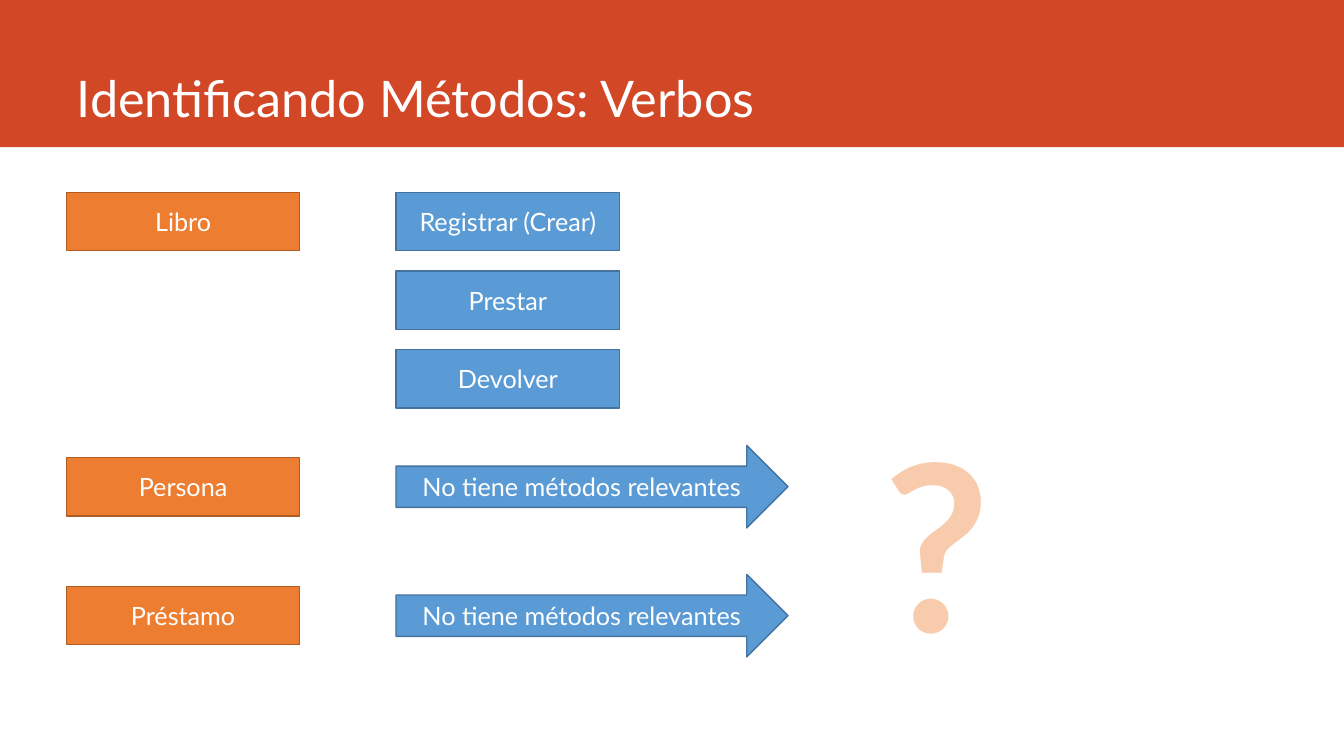
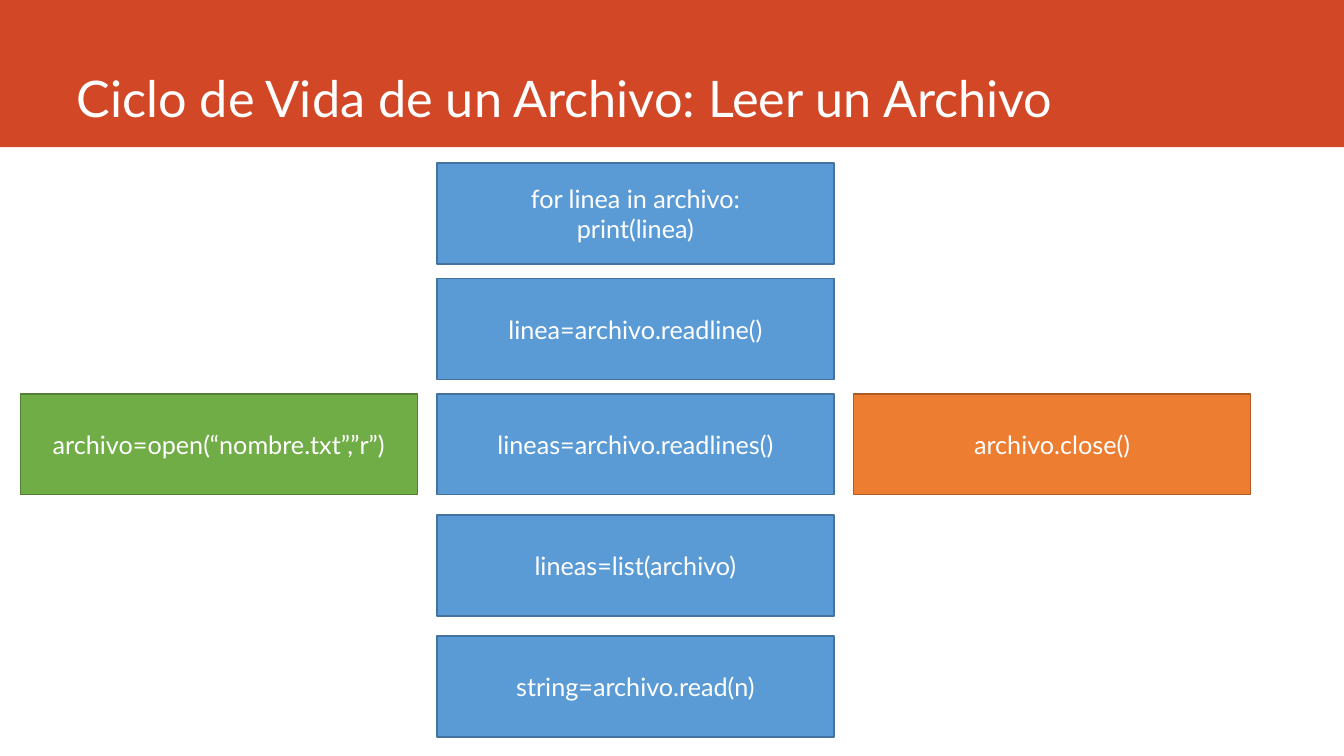
from lxml import etree
from pptx import Presentation
from pptx.dml.color import RGBColor
from pptx.enum.shapes import MSO_SHAPE as Shape
from pptx.enum.text import MSO_ANCHOR as Anchor, MSO_AUTO_SIZE as AutoSize, PP_ALIGN as Align
from pptx.oxml import parse_xml
from pptx.oxml.ns import nsdecls, qn
from pptx.util import Cm, Pt

# Shared style
FONT = "Lato"
WHITE = "FFFFFF"
BAND_COLOR = "D24726"
PEACH = "F8CBAD"
SLIDE_WIDTH, SLIDE_HEIGHT = 33.87, 19.05
BAND_HEIGHT = 3.71
# Each box style is a fill and a line colour
BLUE = ("5B9BD5", "43739E")
ORANGE = ("ED7D31", "AF5C24")
GREEN = ("70AD47", "538035")


def color(hex_value):
    return RGBColor.from_string(hex_value)


def format_font(font, size, hex_value=WHITE, bold=False):
    font.name = FONT
    font.size = Pt(size)
    font.bold = bold
    font.color.rgb = color(hex_value)


def add_block(slide, text, left, top, width, height, style, kind=Shape.RECTANGLE):
    """Add a filled shape with centred white text."""
    fill, line = style
    shape = slide.shapes.add_shape(kind, Cm(left), Cm(top), Cm(width), Cm(height))
    shape.shadow.inherit = False
    shape.fill.solid()
    shape.fill.fore_color.rgb = color(fill)
    shape.line.color.rgb = color(line)
    shape.line.width = Pt(1)
    frame = shape.text_frame
    frame.text = text
    frame.word_wrap = True
    frame.vertical_anchor = Anchor.MIDDLE
    for paragraph in frame.paragraphs:
        paragraph.alignment = Align.CENTER
        format_font(paragraph.font, 18)


def add_titled_slide(presentation, layout, text):
    slide = presentation.slides.add_slide(layout)
    title = slide.shapes.title
    title.left, title.top, title.width, title.height = Cm(1.68), Cm(0), Cm(29.87), Cm(3.35)
    frame = title.text_frame
    frame.text = text
    frame.word_wrap = True
    frame.auto_size = AutoSize.NONE
    frame.vertical_anchor = Anchor.BOTTOM
    paragraph = frame.paragraphs[0]
    paragraph.alignment = Align.LEFT
    format_font(paragraph.font, 36)
    return slide


def add_layout_band(layout, slide):
    """Build the title band and move it to the layout, behind its placeholders."""
    band = slide.shapes.add_shape(Shape.RECTANGLE, 0, 0, Cm(SLIDE_WIDTH), Cm(BAND_HEIGHT))
    band.shadow.inherit = False
    band.fill.solid()
    band.fill.fore_color.rgb = color(BAND_COLOR)
    band.line.fill.background()
    next(band.element.iter(qn("p:cNvPr"))).set("id", "20")
    layout.placeholders[0].element.addprevious(band.element)


def outline_text(run, hex_value, width):
    line = parse_xml(f'<a:ln {nsdecls("a")} w="{Pt(width)}"/>')
    fill = etree.SubElement(line, qn("a:solidFill"))
    etree.SubElement(fill, qn("a:srgbClr"), val=hex_value)
    run.font.fill  # the outline goes before the fill
    run.font.color.rgb = color(PEACH)
    next(run.font.fill and run._r.iter(qn("a:rPr"))).insert(0, line)


def add_question_mark(slide):
    box = slide.shapes.add_textbox(Cm(22.02), Cm(9.96), Cm(3.1), Cm(7.34))
    frame = box.text_frame
    frame.word_wrap = False
    frame.auto_size = AutoSize.SHAPE_TO_FIT_TEXT
    paragraph = frame.paragraphs[0]
    paragraph.alignment = Align.CENTER
    run = paragraph.add_run()
    run.text = "?"
    format_font(run.font, 166, PEACH, bold=True)
    outline_text(run, ORANGE[0], 1.75)


def fill_verbs_slide(slide):
    first_top, box_height = 4.85, 1.47
    method_left, method_pitch = 9.98, 1.98
    arrow_height = 2.08

    # Classes, with an arrow beside those that have no methods
    classes = [("Libro", first_top), ("Persona", 11.53), ("Préstamo", 14.78)]
    for name, top in classes:
        add_block(slide, name, 1.68, top, 5.87, box_height, ORANGE)
        if name != "Libro":
            arrow_top = top - (arrow_height - box_height) / 2
            add_block(slide, "No tiene métodos relevantes", method_left, arrow_top,
                      9.88, arrow_height, BLUE, Shape.RIGHT_ARROW)

    # Methods of the first class
    for row, name in enumerate(["Registrar (Crear)", "Prestar", "Devolver"]):
        add_block(slide, name, method_left, first_top + row * method_pitch,
                  5.64, box_height, BLUE)

    add_question_mark(slide)


def fill_reading_slide(slide):
    width, height = 10.01, 2.54
    open_left, read_left, close_left = (0.51 + column * 10.5 for column in range(3))
    middle_top = 9.93

    # Open and close, on either side of the ways to read
    add_block(slide, "archivo=open(“nombre.txt”,”r”)", open_left, middle_top, width, height, GREEN)
    add_block(slide, "archivo.close()", close_left, middle_top, width, height, ORANGE)

    # Ways to read
    readings = [
        ("for linea in archivo:\nprint(linea)", 4.11),
        ("linea=archivo.readline()", 7.02),
        ("lineas=archivo.readlines()", middle_top),
        ("lineas=list(archivo)", 12.98),
        ("string=archivo.read(n)", 16.03),
    ]
    for text, top in readings:
        add_block(slide, text, read_left, top, width, height, BLUE)


def main():
    presentation = Presentation()
    presentation.slide_width = Cm(SLIDE_WIDTH)
    presentation.slide_height = Cm(SLIDE_HEIGHT)
    layout = presentation.slide_layouts.get_by_name("Title Only")

    verbs = add_titled_slide(presentation, layout, "Identificando Métodos: Verbos")
    add_layout_band(layout, verbs)
    fill_verbs_slide(verbs)

    reading = add_titled_slide(presentation, layout, "Ciclo de Vida de un Archivo: Leer un Archivo")
    fill_reading_slide(reading)

    presentation.save("out.pptx")


if __name__ == "__main__":
    main()
